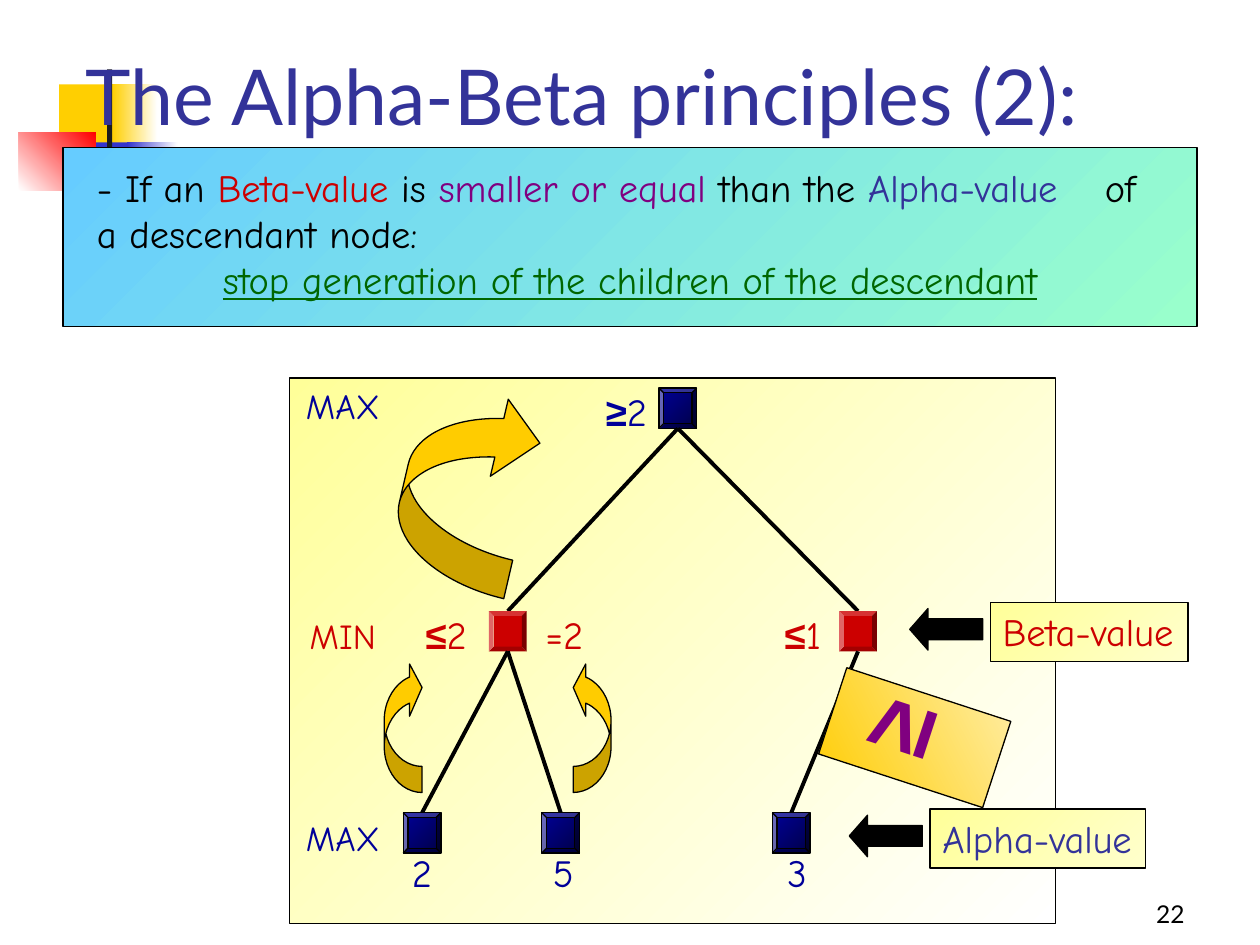
"""Build the slide on the second alpha-beta principle, with its game tree."""
from dataclasses import dataclass
from typing import Optional

import lxml.etree
import pptx
import pptx.dml.color
import pptx.enum.shapes
import pptx.enum.text
import pptx.oxml
import pptx.oxml.ns
import pptx.util

Inches = pptx.util.Inches
SHAPE = pptx.enum.shapes.MSO_SHAPE
ALIGN = pptx.enum.text.PP_ALIGN
ANCHOR = pptx.enum.text.MSO_ANCHOR
AUTO = pptx.enum.text.MSO_AUTO_SIZE


@dataclass(frozen=True)
class Theme:
    sans: str = "Lato"
    hand: str = "Comic Neue"
    symbol: str = "Arial"
    title_size: int = 44
    sign_size: int = 54
    text_size: int = 22
    level_size: int = 20
    number_size: int = 14
    black: str = "000000"
    white: str = "FFFFFF"
    ink: str = "1C1C1C"
    indigo: str = "333399"
    royal: str = "3333CC"
    navy: str = "000099"
    midnight: str = "000047"
    red: str = "CC0000"
    bright_red: str = "FF0000"
    purple: str = "800080"
    green: str = "006600"
    gold: str = "FFCF01"
    amber: str = "FFCC00"
    pale_amber: str = "FFEEA9"
    yellow: str = "FFFF99"
    pale_yellow: str = "FFFFCC"
    sky: str = "66CCFF"
    mint: str = "99FFCC"


T = Theme()


@dataclass(frozen=True)
class Part:
    box: tuple[float, float, float, float]
    fill: tuple[str, ...]
    angle: float = 45
    kind: SHAPE = SHAPE.RECTANGLE
    line: Optional[str] = T.black
    adjust: tuple[float, ...] = ()
    rotation: float = 0
    flip: bool = False


@dataclass(frozen=True)
class Node:
    x: float
    y: float
    is_max: bool = True
    width: float = 0.3
    height: float = 0.32


@dataclass(frozen=True)
class Label:
    box: tuple[float, float, float, float]
    text: str
    color: str
    sign: str = ""
    size: int = T.text_size


def rgb(color: str) -> pptx.dml.color.RGBColor:
    return pptx.dml.color.RGBColor.from_string(color)


def add_part(s, part: Part):
    sp = s.shapes.add_shape(part.kind, *map(Inches, part.box))
    sp.shadow.inherit = False
    if len(part.fill) == 1:
        sp.fill.solid()
        sp.fill.fore_color.rgb = rgb(part.fill[0])
    else:
        sp.fill.gradient()
        sp.fill.gradient_angle = (360 - part.angle) % 360
        for stop, color in zip(sp.fill.gradient_stops, part.fill):
            stop.color.rgb = rgb(color)
    if part.line:
        sp.line.color.rgb = rgb(part.line)
        sp.line.width = pptx.util.Pt(0.75)
    else:
        sp.line.fill.background()
    for i, value in enumerate(part.adjust):
        sp.adjustments[i] = value
    sp.rotation = part.rotation
    if part.flip:
        sp.element.spPr.xfrm.set("flipV", "1")
    return sp


def add_run(p, text: str, *, color: str = T.black, size: int = T.text_size,
            font: str = T.hand, bold: bool = False, underline: bool = False) -> None:
    r = p.add_run()
    r.text = text
    r.font.name, r.font.size = font, pptx.util.Pt(size)
    r.font.bold, r.font.underline = bold, underline
    r.font.color.rgb = rgb(color)


def set_frame(sp, *, wrap: bool, auto: AUTO = AUTO.NONE,
              anchor: ANCHOR = ANCHOR.TOP, align: ALIGN = ALIGN.LEFT):
    tf = sp.text_frame
    tf.word_wrap, tf.auto_size, tf.vertical_anchor = wrap, auto, anchor
    tf.paragraphs[0].alignment = align
    return tf


def add_box(s, box: tuple[float, float, float, float]):
    return s.shapes.add_textbox(*map(Inches, box))


def add_label(s, label: Label) -> None:
    tf = set_frame(add_box(s, label.box), wrap=False, auto=AUTO.SHAPE_TO_FIT_TEXT)
    p = tf.paragraphs[0]
    if label.sign:
        add_run(p, label.sign, color=label.color, font=T.symbol, bold=True)
    add_run(p, label.text, color=label.color, size=label.size)


def add_edge(s, parent: Node, child: Node) -> None:
    line = s.shapes.add_connector(
        pptx.enum.shapes.MSO_CONNECTOR.STRAIGHT, Inches(parent.x),
        Inches(parent.y + parent.height), Inches(child.x), Inches(child.y))
    line.line.color.rgb = rgb(T.black)
    line.line.width = pptx.util.Pt(2.25)
    lxml.etree.SubElement(line.element.spPr, pptx.oxml.ns.qn("a:effectLst"))


def add_node(s, node: Node) -> None:
    add_part(s, Part((node.x - node.width / 2, node.y, node.width, node.height),
                     (T.navy, T.midnight) if node.is_max else (T.red,),
                     kind=SHAPE.BEVEL, line=T.black if node.is_max else None,
                     adjust=(0.125,)))


def add_callout(s, text: str, color: str, left: float, top: float, width: float) -> None:
    sp = add_part(s, Part((left, top, width, 0.47), (T.yellow, T.pale_yellow)))
    add_run(set_frame(sp, wrap=False).paragraphs[0], text, color=color)
    add_part(s, Part((left - 0.64, top + 0.05, 0.58, 0.33), (T.black,),
                     kind=SHAPE.LEFT_ARROW, adjust=(0.5, 0.44)))


def add_tabs(p) -> None:
    tabs = lxml.etree.SubElement(p._p.get_or_add_pPr(), pptx.oxml.ns.qn("a:tabLst"))
    for inch in range(1, 9):
        lxml.etree.SubElement(tabs, pptx.oxml.ns.qn("a:tab"),
                              pos=str(Inches(inch)), algn="l")


def add_principle(s) -> None:
    add_part(s, Part((0.5, 1.17, 9, 1.42), (T.sky, T.mint)))
    tf = set_frame(add_box(s, (0.67, 1.25, 8.58, 1.2)), wrap=True)
    p = tf.paragraphs[0]
    add_tabs(p)
    for text, color in (("- If an ", T.black), ("Beta-value ", T.red), ("is ", T.black),
                        ("smaller or equal", T.purple), (" than the ", T.black),
                        ("Alpha-value \t", T.indigo), ("of a descendant node:", T.black)):
        add_run(p, text, color=color)
    p = tf.add_paragraph()
    add_tabs(p)
    add_run(p, "\t")
    add_run(p, "stop generation of the children of the descendant",
            color=T.green, underline=True)


DECOR = [((0.47, 0.67, 0.48, 0.52), (T.gold,), 0),
         ((0.89, 0.67, 0.36, 0.52), (T.gold, T.white), 0),
         ((0.61, 1.13, 0.46, 0.52), (T.royal,), 0),
         ((1.01, 1.13, 0.4, 0.52), (T.royal, T.white), 0),
         ((0.15, 1.05, 0.61, 0.46), (T.white, T.bright_red), 315),
         ((0.85, 0.55, 0.04, 1.15), (T.ink,), 0),
         ((0.5, 1.42, 9, 0.04), (T.ink, T.white), 0)]
ROOT = Node(5.38, 3.08)
TREE = {Node(4.03, 4.85, False): [Node(3.35, 6.45), Node(4.45, 6.45)],
        Node(6.81, 4.85, False): [Node(6.28, 6.45)]}
LABELS = [Label((2.33, 3, 0.84, 0.44), "MAX", T.navy, size=T.level_size),
          Label((2.36, 4.83, 0.78, 0.44), "MIN", T.red, size=T.level_size),
          Label((2.33, 6.43, 0.84, 0.44), "MAX", T.navy, size=T.level_size),
          Label((4.71, 3.03, 0.6, 0.47), "2", T.navy, "≥"),
          Label((3.28, 4.8, 0.6, 0.47), "2", T.red, "≤"),
          Label((4.23, 4.8, 0.5, 0.47), "=2", T.red),
          Label((6.13, 4.8, 0.56, 0.47), "1", T.red, "≤"),
          Label((3.17, 6.69, 0.36, 0.47), "2", T.navy),
          Label((4.29, 6.69, 0.36, 0.47), "5", T.navy),
          Label((6.15, 6.69, 0.35, 0.47), "3", T.navy)]
SMALL, LARGE = (0.69, 1.38, 0.33), (0.32, 0.64, 0.33)
ARROWS = [((3.05, 5.25, 0.3, 1.04), SHAPE.CURVED_RIGHT_ARROW, SMALL, 0),
          ((4.55, 5.25, 0.3, 1.04), SHAPE.CURVED_LEFT_ARROW, SMALL, 0),
          ((3.21, 3.08, 0.98, 1.58), SHAPE.CURVED_RIGHT_ARROW, LARGE, 13.1)]


def main() -> None:
    prs = pptx.Presentation()
    prs.slide_width, prs.slide_height = Inches(10), Inches(7.5)
    s = prs.slides.add_slide(prs.slide_layouts[5])
    for box, fill, angle in DECOR:
        add_part(s, Part(box, fill, angle, line=None))
    tf = set_frame(add_box(s, (7.42, 6.92, 2.08, 0.5)), wrap=True,
                   anchor=ANCHOR.BOTTOM, align=ALIGN.RIGHT)
    add_run(tf.paragraphs[0], "22", size=T.number_size, font=T.sans)
    title = s.shapes.title
    title.left, title.top, title.width, title.height = map(Inches, (0.58, 0.17, 8.5, 1))
    tf = set_frame(title, wrap=True, anchor=ANCHOR.BOTTOM)
    add_run(tf.paragraphs[0], "The Alpha-Beta principles (2):",
            color=T.indigo, size=T.title_size, font=T.sans)
    title.element.getparent().append(title.element)
    add_principle(s)
    add_part(s, Part((2.3, 3, 6.08, 4.33), (T.yellow, T.white)))
    add_node(s, ROOT)
    for node, leaves in TREE.items():
        add_edge(s, ROOT, node)
        add_node(s, node)
        for leaf in leaves:
            add_edge(s, node, leaf)
            add_node(s, leaf)
    for label in LABELS:
        add_label(s, label)
    for box, kind, adjust, rotation in ARROWS:
        add_part(s, Part(box, (T.amber,), kind=kind, adjust=adjust,
                         rotation=rotation, flip=True))
    add_callout(s, "Alpha-value", T.indigo, 7.38, 6.42, 1.71)
    add_callout(s, "Beta-value", T.red, 7.86, 4.78, 1.57)
    sp = add_part(s, Part((6.9, 5.17, 0.72, 1.37), (T.amber, T.pale_amber), rotation=288.1))
    p = set_frame(sp, wrap=True).paragraphs[0]
    add_run(p, " ", color=T.purple)
    add_run(p, "≥", color=T.purple, size=T.sign_size, font=T.symbol, bold=True)
    prs.save("out.pptx")


if __name__ == "__main__":
    main()
